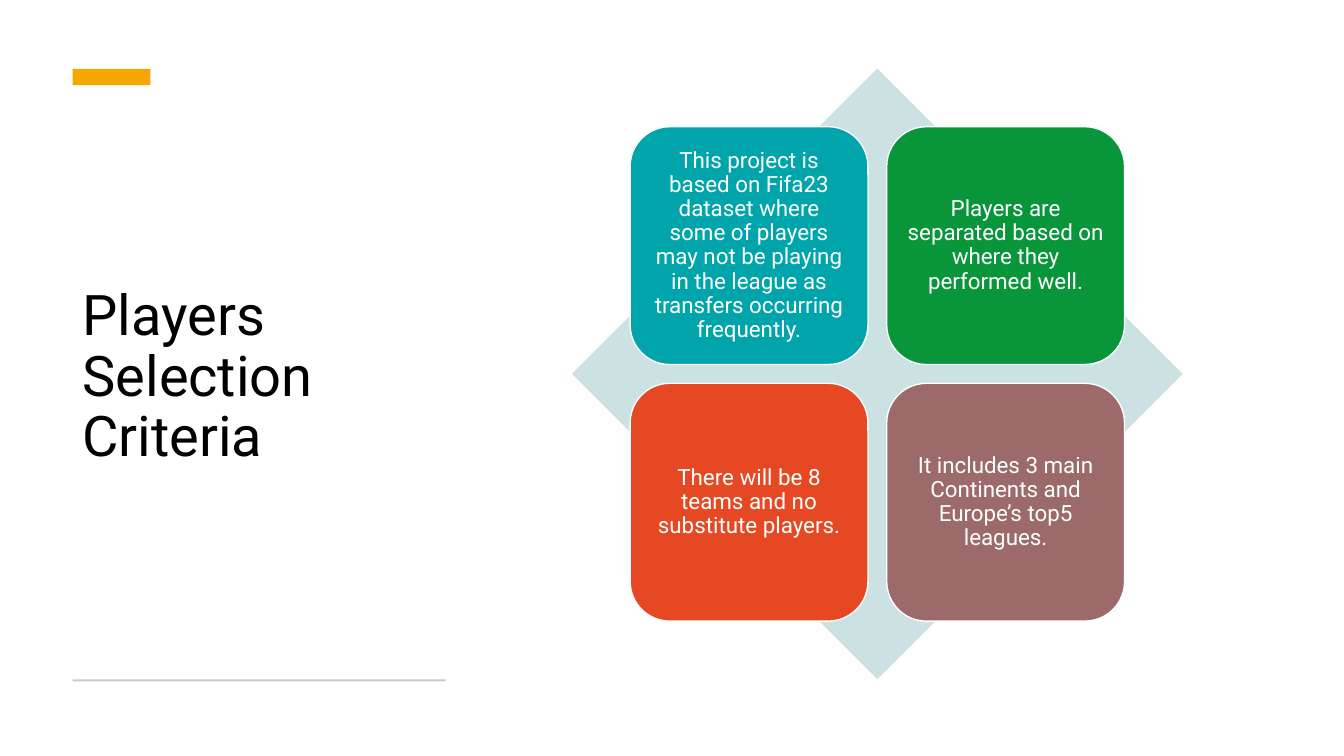
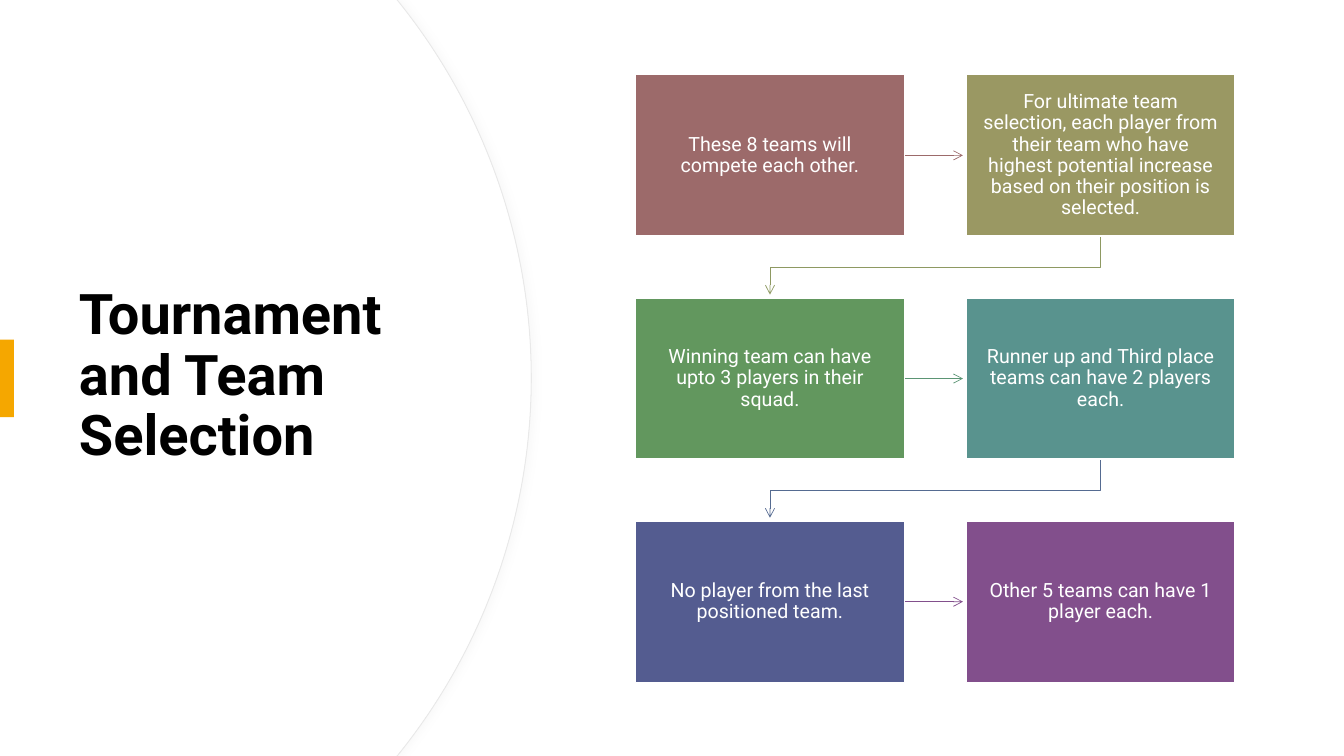
from lxml import etree
from pptx import Presentation
from pptx import util as u
from pptx.dml import color
from pptx.enum import shapes, text
from pptx.oxml import ns

WIDTH, HEIGHT = 960, 540
FONT = "Roboto"
COLOURS = {
    "white": "FFFFFF", "black": "000000", "accent": "F5A700",
    "rule": "C9C9C9", "edge": "E9E9E9", "shade": "D9D9D9",
    "diamond": "CCE1E2", "teal": "00A5AB", "green": "09963B",
    "orange": "E64823", "rose": "9C6A6A", "olive": "9A9863",
    "leaf": "62975E", "sea": "59938E", "indigo": "545C90",
    "purple": "824F8C", "moss": "8E9962", "mint": "5B9574",
    "slate": "556B91",
}
CRITERIA = [
    ("This project is based on Fifa23 dataset where some of players may not "
     "be playing in the league as transfers occurring frequently.", "teal"),
    ("Players are separated based on where they performed well.", "green"),
    ("There will be 8 teams and no substitute players.", "orange"),
    ("It includes 3 main Continents and Europe’s top5 leagues.", "rose"),
]
STEPS = [
    ("These 8 teams will compete each other.", "rose"),
    ("For ultimate team selection, each player from their team who have "
     "highest potential increase based on their position is selected.",
     "olive"),
    ("Winning team can have upto 3 players in their squad.", "leaf"),
    ("Runner up and Third place teams can have 2 players each.", "sea"),
    ("No player from the last positioned team.", "indigo"),
    ("Other 5 teams can have 1 player each.", "purple"),
]
ARROW_COLOURS = ["rose", "moss", "mint", "slate", "purple"]


def rgb(name):
    """Return the named colour."""
    return color.RGBColor.from_string(COLOURS[name])


def paint(shape, fill, line=None, weight=1):
    """Fill and outline a shape without a shadow."""
    shape.shadow.inherit = False
    shape.fill.solid()
    shape.fill.fore_color.rgb = rgb(fill)
    if line:
        shape.line.color.rgb = rgb(line)
        shape.line.width = u.Pt(weight)
    else:
        shape.line.fill.background()


def add_block(page, kind, frame, fill, line=None):
    """Add a painted preset shape."""
    block = page.shapes.add_shape(kind, *map(u.Pt, frame))
    paint(block, fill, line)
    return block


def write(box, words, size, ink, align, bold=False):
    """Write one vertically centred paragraph into a shape."""
    frame = box.text_frame
    frame.word_wrap = True
    frame.auto_size = text.MSO_AUTO_SIZE.NONE
    frame.vertical_anchor = text.MSO_ANCHOR.MIDDLE
    para = frame.paragraphs[0]
    para.alignment = align
    para.line_spacing = 0.9
    span = para.add_run()
    span.text = words
    span.font.name = FONT
    span.font.size = u.Pt(size)
    span.font.bold = bold
    span.font.color.rgb = rgb(ink)


def add_card(page, kind, frame, words, fill, size, inset):
    """Add a coloured card with centred white text."""
    card = add_block(page, kind, frame, fill, "white")
    across, down = map(u.Pt, inset)
    body = card.text_frame
    body.margin_left = body.margin_right = across
    body.margin_top = body.margin_bottom = down
    write(card, words, size, "white", text.PP_ALIGN.CENTER)


def set_title(page, words, frame, bold=False):
    """Place and format the slide title in front of earlier shapes."""
    title = page.shapes.title
    title.left, title.top, title.width, title.height = map(u.Pt, frame)
    write(title, words, 40, "black", text.PP_ALIGN.LEFT, bold)
    title.element.getparent().append(title.element)


def add_arrow(page, kind, start, end, ink):
    """Add a thin connector with an open arrowhead."""
    arrow = page.shapes.add_connector(kind, *map(u.Pt, start + end))
    arrow.line.color.rgb = rgb(ink)
    arrow.line.width = u.Pt(0.5)
    properties = arrow.element.spPr
    outline = properties.find(ns.qn("a:ln"))
    etree.SubElement(outline, ns.qn("a:tailEnd"), type="arrow")
    etree.SubElement(properties, ns.qn("a:effectLst"))
    return arrow


def add_elbow(page, start, end, ink):
    """Add a down, left, down arrow as a connector turned by 90 degrees."""
    middle_x, middle_y = (start[0] + end[0]) / 2, (start[1] + end[1]) / 2
    half_x, half_y = (start[0] - end[0]) / 2, (end[1] - start[1]) / 2
    arrow = add_arrow(page, shapes.MSO_CONNECTOR.ELBOW,
                      (middle_x - half_y, middle_y - half_x),
                      (middle_x + half_y, middle_y + half_x), ink)
    properties = arrow.element.spPr
    properties.find(ns.qn("a:xfrm")).set("rot", "5400000")
    guides = properties.find(ns.qn("a:prstGeom")).find(ns.qn("a:avLst"))
    etree.SubElement(guides, ns.qn("a:gd"), name="adj1", fmla="val 53000")


def bend(segment, controls):
    """Turn a straight outline segment into a cubic curve."""
    segment.tag = ns.qn("a:cubicBezTo")
    for index, (x, y) in enumerate(controls):
        point = etree.Element(ns.qn("a:pt"), x=str(u.Pt(x)), y=str(u.Pt(y)))
        segment.insert(index, point)


def add_arc_panel(page, right, line=None):
    """Add a white full-height panel whose right side is an arc."""
    corner, shoulder = right - 95.8, (right - 33.9, 76.3)
    flank = (right, 171.7)
    outline = [(corner, 0), (right, HEIGHT / 2), (corner, HEIGHT),
               (0, HEIGHT)]
    builder = page.shapes.build_freeform(0, 0)
    builder.add_line_segments([(u.Pt(x), u.Pt(y)) for x, y in outline])
    panel = builder.convert_to_shape()
    segments = list(panel.element.iter(ns.qn("a:lnTo")))
    upper = [shoulder, flank]
    lower = [(x, HEIGHT - y) for x, y in reversed(upper)]
    bend(segments[1], upper)
    bend(segments[2], lower)
    paint(panel, "white", line, 0.75)
    return panel


def add_soft_shadow(shape):
    """Give a shape a faint shadow to its right."""
    effects = shape.element.spPr.find(ns.qn("a:effectLst"))
    shadow = etree.SubElement(effects, ns.qn("a:outerShdw"),
                              blurRad=str(u.Pt(4)), dist=str(u.Pt(3)),
                              dir="0", algn="l", rotWithShape="0")
    tint = etree.SubElement(shadow, ns.qn("a:srgbClr"), val=COLOURS["shade"])
    etree.SubElement(tint, ns.qn("a:alpha"), val="12000")


def build_criteria(page):
    """Build the diamond with four rounded cards."""
    rectangle = shapes.MSO_SHAPE.RECTANGLE
    left, column = 52, 266.4
    set_title(page, "Players Selection Criteria",
              (51.8, 75.2, column, 389.5))
    add_block(page, rectangle, (left, 49.3, 55.5, 11.5), "accent")
    add_block(page, rectangle, (left, 485.3, column, 1.4), "rule")
    centre_x, centre_y, half, side, gap = 626.7, 267.1, 218.1, 169.9, 13.4
    add_block(page, shapes.MSO_SHAPE.DIAMOND,
              (centre_x - half, centre_y - half, 2 * half, 2 * half),
              "diamond")
    for index, (words, fill) in enumerate(CRITERIA):
        row, col = divmod(index, 2)
        x = centre_x - gap / 2 - side + col * (side + gap)
        y = centre_y - gap / 2 - side + row * (side + gap)
        add_card(page, shapes.MSO_SHAPE.ROUNDED_RECTANGLE,
                 (x, y, side, side), words, fill, 16, (5, 5))


def build_tournament(page):
    """Build the six-step zigzag flow."""
    add_soft_shadow(add_arc_panel(page, 379.5, "edge"))
    add_arc_panel(page, 378.8)
    set_title(page, "Tournament and Team Selection",
              (49.2, 91.2, 283.5, 356.5), bold=True)
    rectangle = shapes.MSO_SHAPE.RECTANGLE
    add_block(page, rectangle, (0, 242.6, 10, 55.5), "accent")
    width, height, reach = 192, 115.2, 41.8
    spots = [(454 + index % 2 * 236.2, 53.4 + index // 2 * 159.4)
             for index in range(len(STEPS))]
    for index, ink in enumerate(ARROW_COLOURS):
        x, y = spots[index]
        if index % 2:
            start = (x + width / 2, y + height)
            end = (spots[index + 1][0] + width / 2, start[1] + reach)
            add_elbow(page, start, end, ink)
        else:
            start = (x + width, y + height / 2)
            end = (start[0] + reach, start[1])
            add_arrow(page, shapes.MSO_CONNECTOR.STRAIGHT, start, end, ink)
    for (x, y), (words, fill) in zip(spots, STEPS):
        add_card(page, rectangle, (x, y, width, height), words, fill, 14,
                 (9.4, 10))


def main():
    """Build and save the deck."""
    deck = Presentation()
    deck.slide_width, deck.slide_height = u.Pt(WIDTH), u.Pt(HEIGHT)
    for build in (build_criteria, build_tournament):
        build(deck.slides.add_slide(deck.slide_layouts[5]))
    deck.save("out.pptx")


if __name__ == "__main__":
    main()
